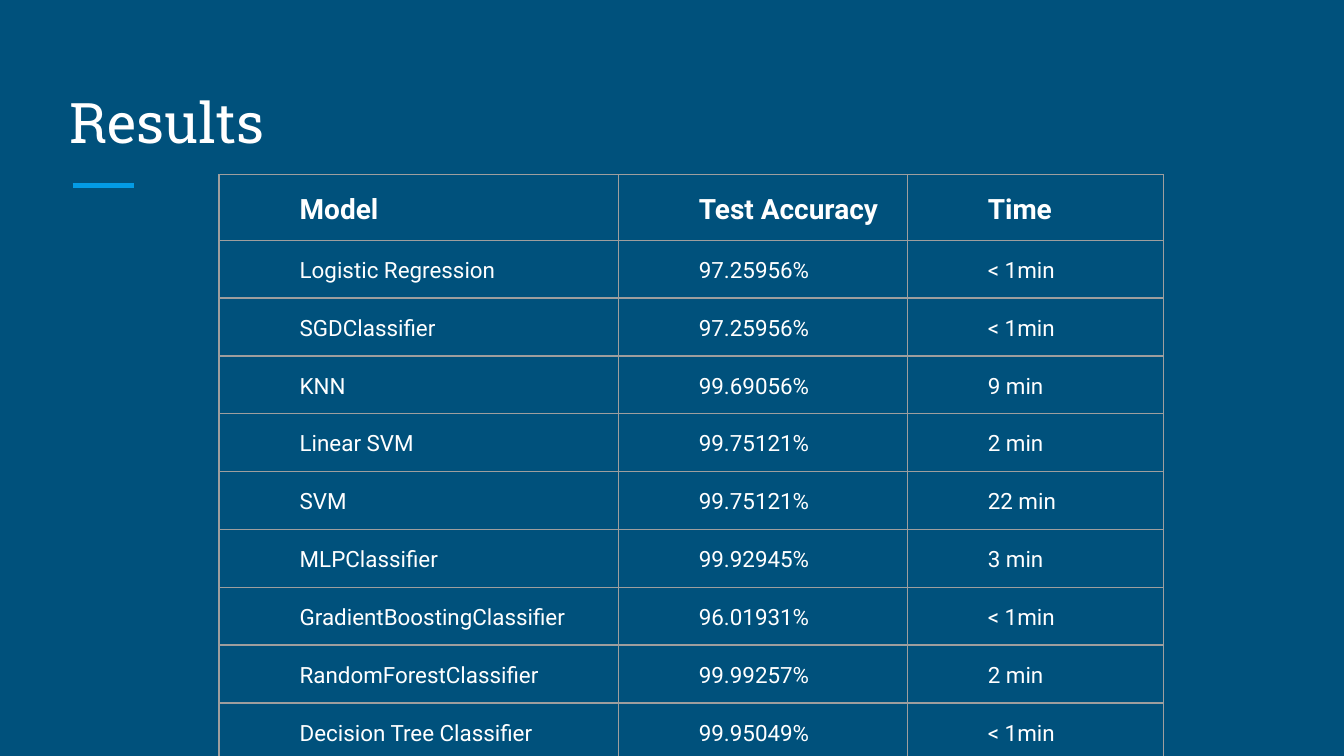
"""Build the slide that lists test accuracy and time for each model."""
import dataclasses

import lxml.etree
import pptx
import pptx.dml.color
import pptx.enum.shapes
import pptx.enum.text
import pptx.oxml.ns
import pptx.util

Inches = pptx.util.Inches
Pt = pptx.util.Pt
qn = pptx.oxml.ns.qn


@dataclasses.dataclass(frozen=True)
class Theme:
    background: str = "00517C"
    text: str = "FFFFFF"
    accent: str = "039BE5"
    border: str = "9E9E9E"
    title_font: str = "Roboto Slab"
    body_font: str = "Roboto"
    title_size: int = 30
    header_size: int = 15
    body_size: int = 12


theme = Theme()


def style_run(r, font, size, bold=False):
    r.font.name = font
    r.font.size = Pt(size)
    r.font.bold = bold
    r.font.color.rgb = pptx.dml.color.RGBColor.from_string(theme.text)


def add_borders(cell):
    tc_pr = cell._tc.get_or_add_tcPr()
    for side in ("lnL", "lnR", "lnT", "lnB"):
        ln = lxml.etree.SubElement(tc_pr, qn(f"a:{side}"), w=str(Pt(0.75)))
        fill = lxml.etree.SubElement(ln, qn("a:solidFill"))
        lxml.etree.SubElement(fill, qn("a:srgbClr"), val=theme.border)


prs = pptx.Presentation()
prs.slide_width = Inches(10)
prs.slide_height = Inches(10 * 9 / 16)
s = prs.slides.add_slide(prs.slide_layouts[6])
s.background.fill.solid()
s.background.fill.fore_color.rgb = pptx.dml.color.RGBColor.from_string(theme.background)

rule = s.shapes.add_connector(
    pptx.enum.shapes.MSO_CONNECTOR.STRAIGHT,
    Inches(0.54), Inches(1.38), Inches(1), Inches(1.38))
rule.line.color.rgb = pptx.dml.color.RGBColor.from_string(theme.accent)
rule.line.width = Pt(3)
lxml.etree.SubElement(rule._element.spPr, qn("a:effectLst"))

title = s.shapes.add_textbox(Inches(0.42), Inches(0.5), Inches(9.15), Inches(0.75))
tf = title.text_frame
tf.word_wrap = True
tf.vertical_anchor = pptx.enum.text.MSO_ANCHOR.BOTTOM
tf.margin_left = tf.margin_right = tf.margin_top = tf.margin_bottom = Inches(0.1)
tf.text = "Results"
style_run(tf.paragraphs[0].runs[0], theme.title_font, theme.title_size)

results = [
    ("Model", "Test Accuracy", "Time"),
    ("Logistic Regression", "97.25956%", "< 1min"),
    ("SGDClassifier", "97.25956%", "< 1min"),
    ("KNN", "99.69056%", "9 min"),
    ("Linear SVM", "99.75121%", "2 min"),
    ("SVM", "99.75121%", "22 min"),
    ("MLPClassifier", "99.92945%", "3 min"),
    ("GradientBoostingClassifier", "96.01931%", "< 1min"),
    ("RandomForestClassifier", "99.99257%", "2 min"),
    ("Decision Tree Classifier", "99.95049%", "< 1min"),
]
col_widths = (2.97, 2.15, 1.91)
row_height = 0.38

table = s.shapes.add_table(
    len(results), len(col_widths), Inches(1.63), Inches(1.3),
    Inches(sum(col_widths)), Inches(row_height * len(results))).table
table.first_row = False
table.horz_banding = False
for column, width in zip(table.columns, col_widths):
    column.width = Inches(width)

for i, values in enumerate(results):
    table.rows[i].height = Inches(row_height)
    size = theme.header_size if i == 0 else theme.body_size
    for j, value in enumerate(values):
        cell = table.cell(i, j)
        cell.margin_left = cell.margin_right = Inches(0.1)
        cell.margin_top = cell.margin_bottom = Inches(0.1)
        add_borders(cell)
        cell.fill.background()
        p = cell.text_frame.paragraphs[0]
        p.text = value
        p.line_spacing = 1.15
        p.space_after = Pt(12)
        p._p.get_or_add_pPr().set("marL", str(Inches(0.5)))
        style_run(p.runs[0], theme.body_font, size, bold=i == 0)

prs.save("out.pptx")
